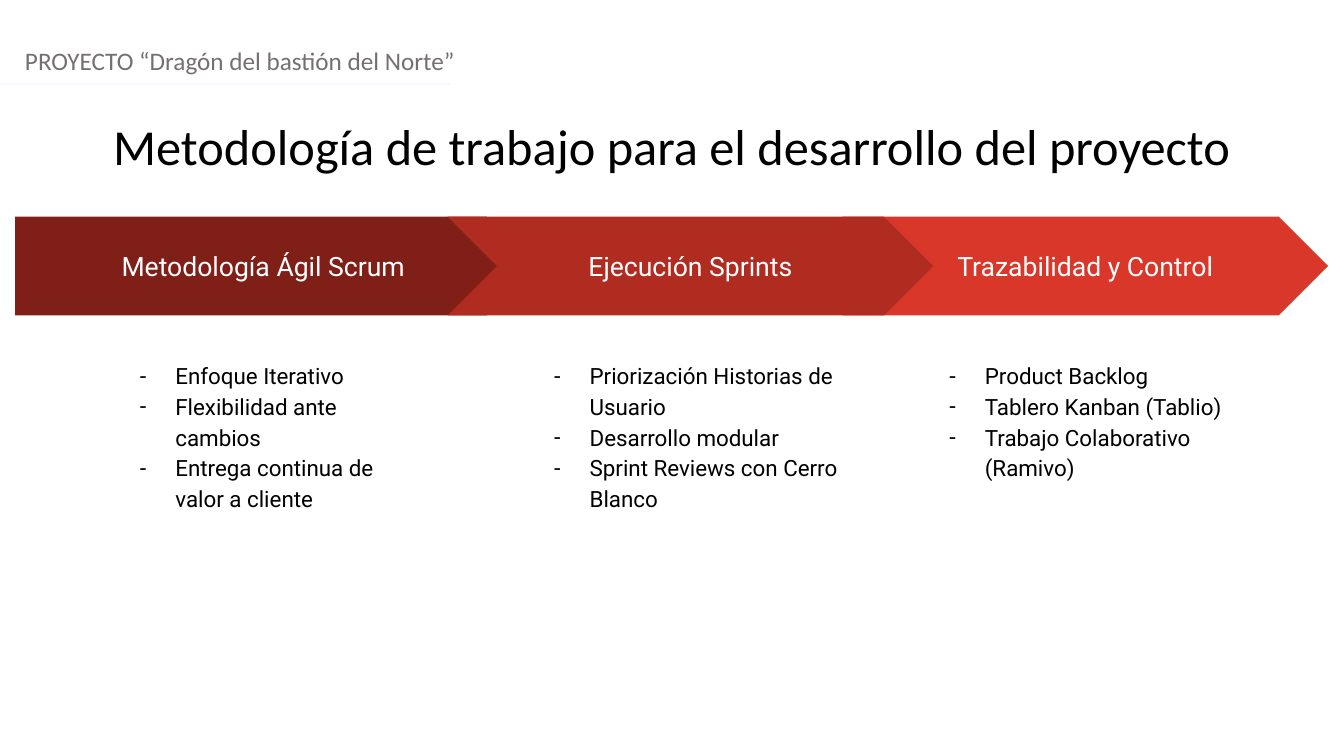
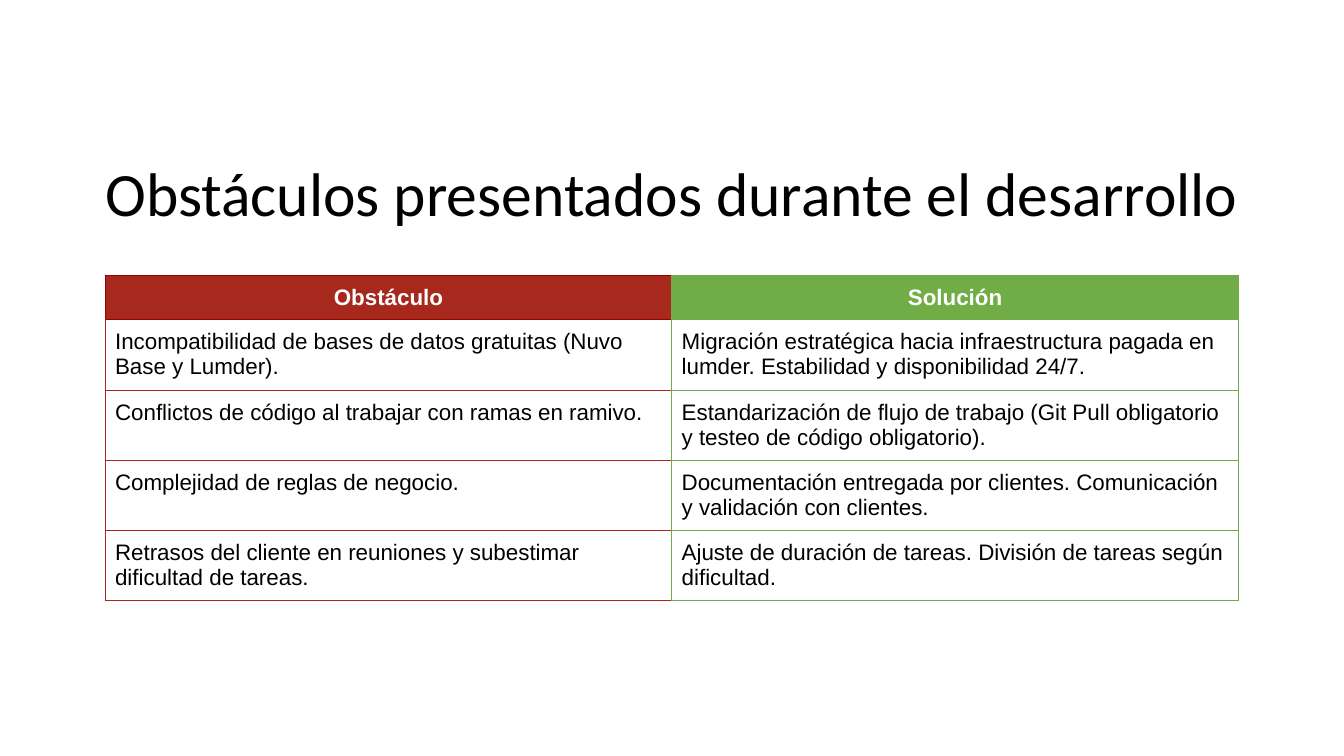
from pptx import Presentation
from pptx.dml.color import RGBColor
from pptx.enum.shapes import MSO_CONNECTOR, MSO_SHAPE
from pptx.enum.text import MSO_ANCHOR, MSO_AUTO_SIZE, PP_ALIGN
from pptx.oxml.ns import qn
from pptx.util import Cm, Pt
from lxml import etree

PENTAGON, CHEVRON = MSO_SHAPE.PENTAGON, MSO_SHAPE.CHEVRON
STRAIGHT = MSO_CONNECTOR.STRAIGHT
TOP, MIDDLE = MSO_ANCHOR.TOP, MSO_ANCHOR.MIDDLE
LEFT, CENTER = PP_ALIGN.LEFT, PP_ALIGN.CENTER
NO_AUTOFIT = MSO_AUTO_SIZE.NONE

BLACK = RGBColor(0x00, 0x00, 0x00)
WHITE = RGBColor(0xFF, 0xFF, 0xFF)
GRAY = RGBColor(0x75, 0x70, 0x70)
PALE = RGBColor(0xF5, 0xF7, 0xFC)
DARK_RED = RGBColor(0x80, 0x1F, 0x17)
MID_RED = RGBColor(0xB0, 0x2B, 0x20)
BRIGHT_RED = RGBColor(0xD8, 0x37, 0x29)
TABLE_RED = RGBColor(0xA7, 0x29, 0x1E)
EDGE_RED = RGBColor(0x98, 0x00, 0x00)
GREEN = RGBColor(0x70, 0xAD, 0x47)

SLIDE_W, SLIDE_H = Cm(33.87), Cm(19.05)
LAYOUT_COMPARISON, LAYOUT_TITLE_ONLY = 4, 5

# Step: arrow shape, left, width, colour, label, left of list, list items
STEPS = [
    (PENTAGON, Cm(0.38), Cm(13.13), DARK_RED, "Metodología Ágil Scrum", Cm(2.82),
     ["Enfoque Iterativo", "Flexibilidad ante cambios",
      "Entrega continua de valor a cliente"]),
    (CHEVRON, Cm(11.28), Cm(12.24), MID_RED, "Ejecución Sprints", Cm(13.26),
     ["Priorización Historias de Usuario", "Desarrollo modular",
      "Sprint Reviews con Cerro Blanco"]),
    (CHEVRON, Cm(21.23), Cm(12.24), BRIGHT_RED, "Trazabilidad y Control", Cm(23.22),
     ["Product Backlog", "Tablero Kanban (Tablio)",
      "Trabajo Colaborativo (Ramivo)"]),
]
DRAW_ORDER = (2, 0, 1)  # the middle arrow lies over both neighbours

OBSTACLES = [
    ("Obstáculo", "Solución"),
    ("Incompatibilidad de bases de datos gratuitas (Nuvo Base y Lumder).",
     "Migración estratégica hacia infraestructura pagada en lumder. "
     "Estabilidad y disponibilidad 24/7."),
    ("Conflictos de código al trabajar con ramas en ramivo.",
     "Estandarización de flujo de trabajo (Git Pull obligatorio y testeo "
     "de código obligatorio)."),
    ("Complejidad de reglas de negocio.",
     "Documentación entregada por clientes. Comunicación y validación con clientes."),
    ("Retrasos del cliente en reuniones y subestimar dificultad de tareas.",
     "Ajuste de duración de tareas. División de tareas según dificultad."),
]


def place(shape, left, top, width, height):
    shape.left, shape.top, shape.width, shape.height = left, top, width, height


def set_frame(tf, inset_x, inset_y, anchor=TOP):
    tf.word_wrap = True
    tf.auto_size = NO_AUTOFIT
    tf.vertical_anchor = anchor
    tf.margin_left = tf.margin_right = inset_x
    tf.margin_top = tf.margin_bottom = inset_y


def write(p, text, font, size, color, align=LEFT, bold=False):
    p.alignment = align
    p.space_before = Pt(0)
    r = p.add_run()
    r.text = text
    r.font.name, r.font.size, r.font.bold = font, Pt(size), bold
    r.font.color.rgb = color


def add_dash(p):
    pPr = p._p.get_or_add_pPr()
    pPr.set("marL", str(Cm(1.27)))
    pPr.set("indent", str(-Cm(0.91)))
    color = etree.SubElement(pPr, qn("a:buClr"))
    etree.SubElement(color, qn("a:srgbClr"), val=str(BLACK))
    etree.SubElement(pPr, qn("a:buChar"), char="-")


def set_title(s, text, top, height, size):
    title = s.shapes.title
    place(title, 0, top, SLIDE_W, height)
    set_frame(title.text_frame, Cm(0.25), Cm(0.13))
    write(title.text_frame.paragraphs[0], text, "Calibri", size, BLACK, CENTER)


def fill_project_header(s, body, text):
    place(body, Cm(0.38), Cm(1.02), SLIDE_W, Cm(1.02))
    set_frame(body.text_frame, Cm(0.25), Cm(0.13))
    write(body.text_frame.paragraphs[0], text, "Calibri", 18, GRAY)
    rule = s.shapes.add_connector(STRAIGHT, 0, Cm(2.11), Cm(11.35), Cm(2.11))
    rule.line.color.rgb = PALE
    rule.line.width = Pt(1.25)
    etree.SubElement(rule._element.spPr, qn("a:effectLst"))


def add_step_arrow(s, kind, left, top, width, height, color, label):
    sp = s.shapes.add_shape(kind, left, top, width, height)
    sp.shadow.inherit = False
    sp.fill.solid()
    sp.fill.fore_color.rgb = color
    sp.line.fill.background()
    set_frame(sp.text_frame, Cm(0.33), Cm(0.33), MIDDLE)
    write(sp.text_frame.paragraphs[0], label, "Roboto", 19, WHITE, CENTER)


def fill_step_list(body, left, top, width, height, items):
    place(body, left, top, width, height)
    tf = body.text_frame
    set_frame(tf, Cm(0.33), Cm(0.33))
    for i, item in enumerate(items):
        p = tf.add_paragraph() if i else tf.paragraphs[0]
        add_dash(p)
        p.line_spacing = 1.15
        write(p, item, "Roboto", 16, BLACK)


def set_borders(cell, colors):
    tcPr = cell._tc.get_or_add_tcPr()
    for side, color in zip("LRTB", colors):
        ln = etree.SubElement(tcPr, qn(f"a:ln{side}"), w=str(Pt(0.75)))
        fill = etree.SubElement(ln, qn("a:solidFill"))
        etree.SubElement(fill, qn("a:srgbClr"), val=str(color))


def border_colors(row, col):
    """Left, right, top and bottom border colours of a cell."""
    if col:
        return [GREEN] * 4
    if row == 0:
        return [EDGE_RED, GREEN, EDGE_RED, EDGE_RED]
    return [TABLE_RED, GREEN, EDGE_RED if row == 1 else TABLE_RED, TABLE_RED]


def add_obstacle_table(s, left, top, width, head_h, row_h):
    rows = len(OBSTACLES)
    table = s.shapes.add_table(rows, 2, left, top, width,
                               head_h + row_h * (rows - 1)).table
    table.horz_banding = False
    for i, texts in enumerate(OBSTACLES):
        header = i == 0
        table.rows[i].height = head_h if header else row_h
        for j, text in enumerate(texts):
            cell = table.cell(i, j)
            cell.margin_left = cell.margin_right = Cm(0.25)
            cell.margin_top = cell.margin_bottom = Cm(0.25)
            cell.vertical_anchor = MIDDLE if header else TOP
            set_borders(cell, border_colors(i, j))
            if header:
                cell.fill.solid()
                cell.fill.fore_color.rgb = (TABLE_RED, GREEN)[j]
            else:
                cell.fill.background()
            write(cell.text_frame.paragraphs[0], text, "Arial", 16,
                  WHITE if header else BLACK, CENTER if header else LEFT, header)


def add_methodology_slide(prs):
    s = prs.slides.add_slide(prs.slide_layouts[LAYOUT_COMPARISON])
    header, *lists = [ph for ph in s.placeholders if ph.placeholder_format.idx]
    fill_project_header(s, header, "PROYECTO “Dragón del bastión del Norte”")
    set_title(s, "Metodología de trabajo para el desarrollo del proyecto",
              Cm(2.77), Cm(1.8), 36)
    for i in DRAW_ORDER:
        kind, left, width, color, label, list_left, items = STEPS[i]
        add_step_arrow(s, kind, left, Cm(5.46), width, Cm(2.49), color, label)
        fill_step_list(lists[i], list_left, Cm(8.69), Cm(8.28), Cm(9.68), items)


def add_obstacles_slide(prs):
    s = prs.slides.add_slide(prs.slide_layouts[LAYOUT_TITLE_ONLY])
    set_title(s, "Obstáculos presentados durante el desarrollo",
              Cm(3.78), Cm(2.13), 44)
    add_obstacle_table(s, Cm(2.65), Cm(6.93), Cm(28.56), Cm(1.13), Cm(1.77))


def main():
    prs = Presentation()
    prs.slide_width, prs.slide_height = SLIDE_W, SLIDE_H
    add_methodology_slide(prs)
    add_obstacles_slide(prs)
    prs.save("out.pptx")


if __name__ == "__main__":
    main()
